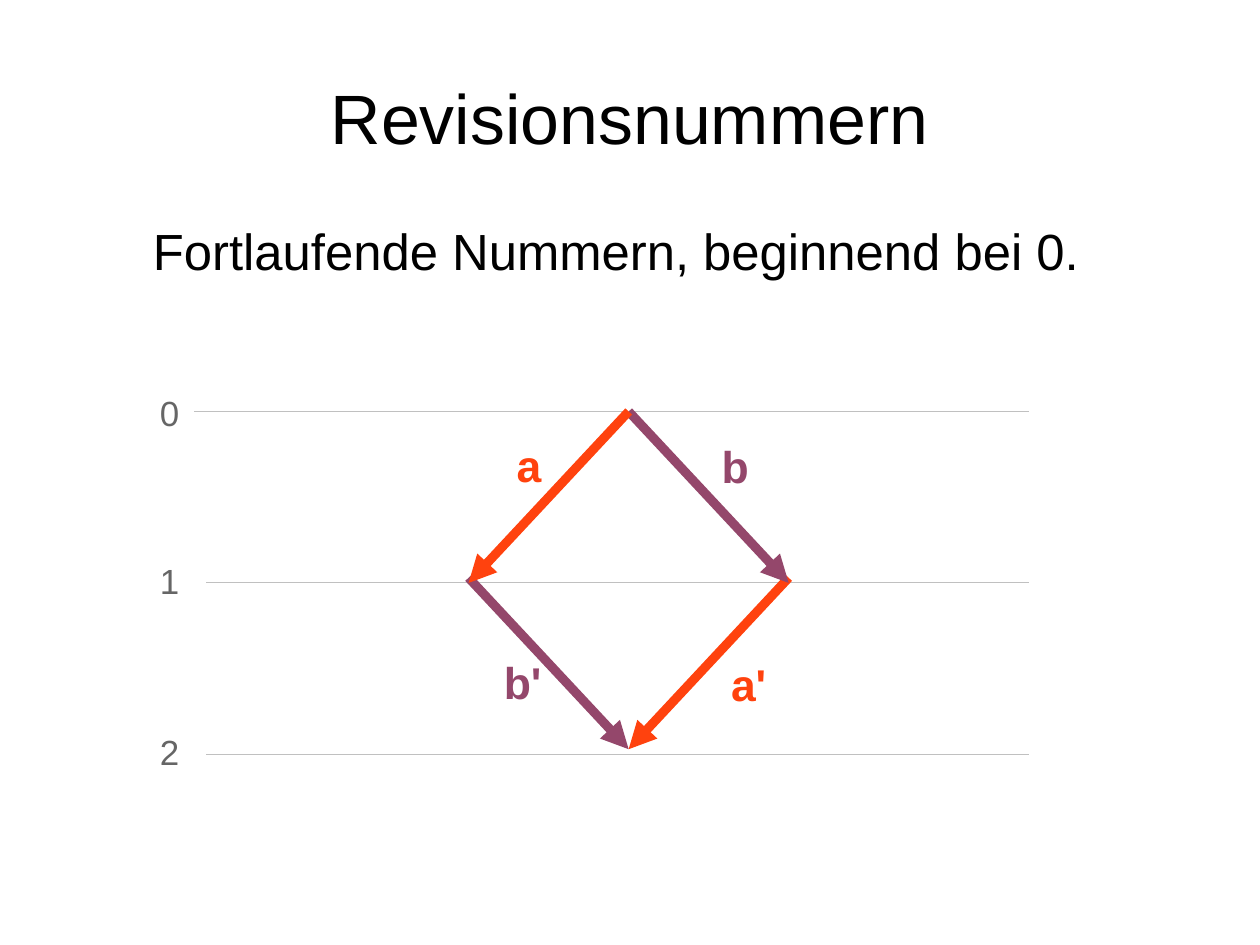
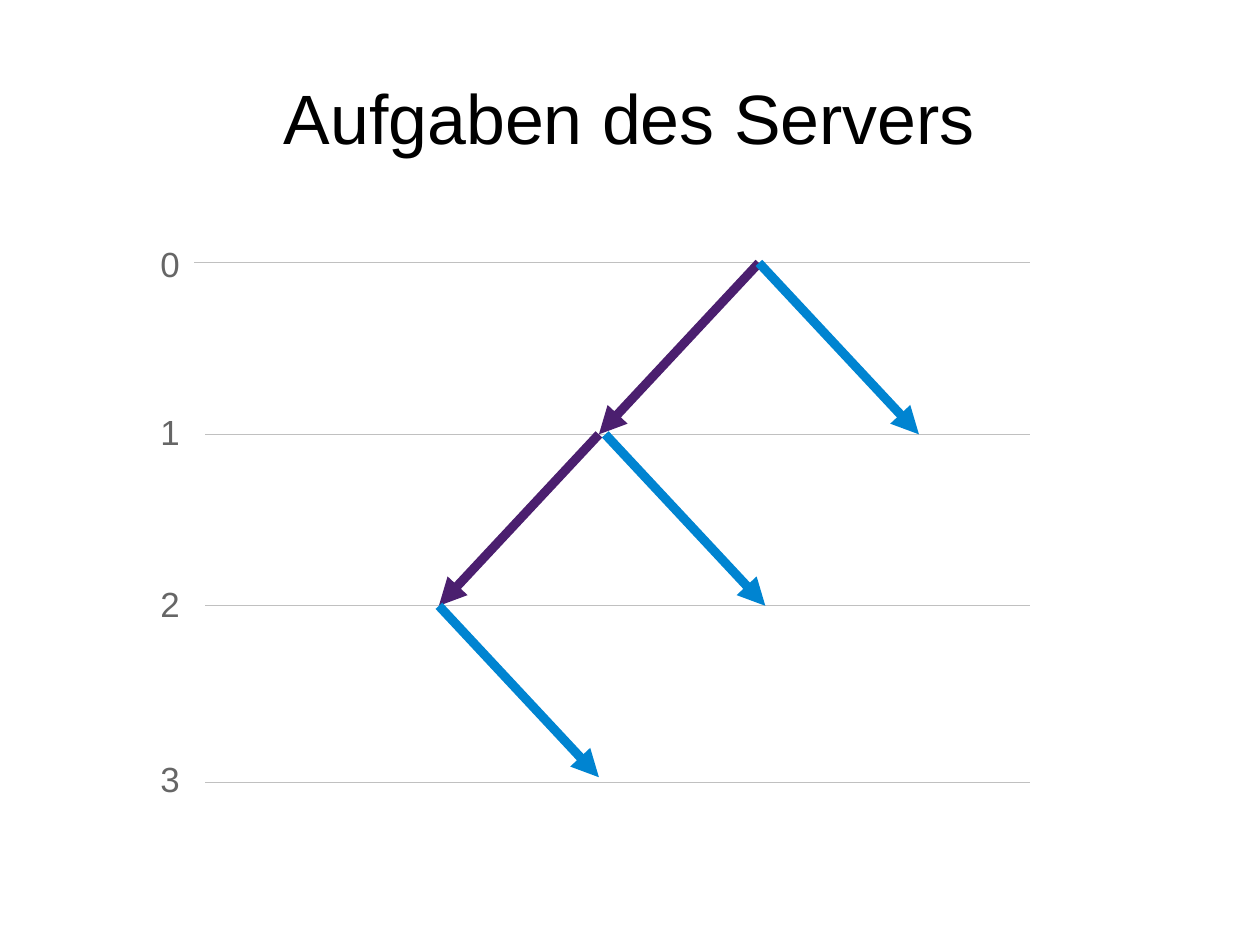
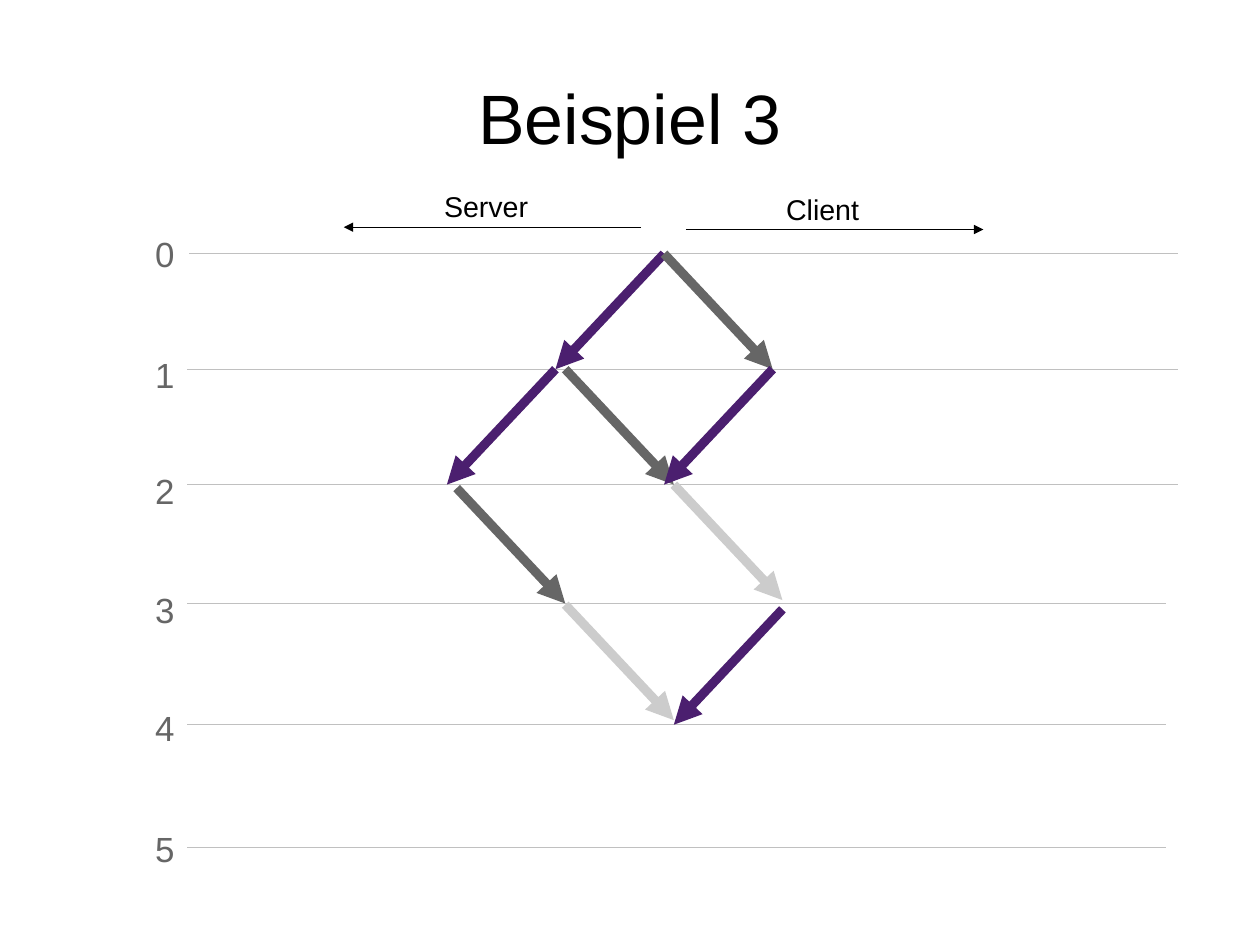
from collections import namedtuple
from dataclasses import dataclass

from lxml.etree import SubElement
from pptx import Presentation
from pptx.dml.color import RGBColor
from pptx.enum.shapes import MSO_CONNECTOR
from pptx.enum.text import MSO_ANCHOR, MSO_AUTO_SIZE, PP_ALIGN
from pptx.oxml.ns import qn
from pptx.util import Cm, Inches, Pt


@dataclass(frozen=True)
class Theme:
    font: str = "Arial"
    black: str = "000000"
    rule: str = "C0C0C0"
    gray: str = "666666"
    pale: str = "CCCCCC"
    red: str = "FF420E"
    plum: str = "94476B"
    navy: str = "4B1F6F"
    blue: str = "0084D1"
    title: int = 44
    body: int = 32
    edge: int = 28
    mark: int = 22
    side: int = 18
    hair: float = 0
    thick: float = 5.75


look = Theme()
Grid = namedtuple("Grid", "left top wide high")
Page = namedtuple("Page", "title grid mark_col mark_wide rules arrows axes tags")


def draw(slide, grid, start, end, ink, width, head):
    ends = [
        Inches(base + step * size)
        for point in (start, end)
        for base, step, size in zip(grid[:2], point, grid[2:])
    ]
    line = slide.shapes.add_connector(MSO_CONNECTOR.STRAIGHT, *ends)
    line.line.color.rgb = RGBColor.from_string(ink)
    props = line._element.spPr
    stroke = props.find(qn("a:ln"))
    stroke.set("w", str(int(Pt(width))))
    if head:
        SubElement(stroke, qn("a:tailEnd"), type="triangle")
    SubElement(props, qn("a:effectLst"))


def write(slide, grid, text, col, row, wide, size, ink, bold=False):
    box = slide.shapes.add_textbox(
        Inches(grid.left + col * grid.wide),
        Inches(grid.top + row * grid.high),
        Inches(wide * grid.wide),
        Pt(size * 1.12) + Inches(0.1),
    )
    frame = box.text_frame
    frame.word_wrap = True
    frame.text = text
    para = frame.paragraphs[0]
    para.alignment = PP_ALIGN.CENTER if size == look.body else PP_ALIGN.LEFT
    para.font.name = look.font
    para.font.size = Pt(size)
    para.font.bold = bold
    para.font.color.rgb = RGBColor.from_string(ink)


pages = [
    Page(
        "Revisionsnummern", Grid(5.5, 3.6, 1.4, 1.5), -3, 0.27,
        [(0, -2.71, 2.5, -0.15), (1, -2.64, 2.5, -0.17), (2, -2.64, 2.5, -0.17)],
        [
            (-1, 0.97, 1, look.plum),
            (1, 0.97, -1, look.red),
            (0, 0, 1, look.plum),
            (0, 0, -1, look.red),
        ],
        [],
        [
            ("Fortlaufende Nummern, beginnend bei 0.", -3.54, -1.15, 6.93, look.body, look.black),
            ("a", -0.77, 0.12, 0.32, look.edge, look.red, True),
            ("b", 0.51, 0.13, 0.34, look.edge, look.plum, True),
            ("a'", 0.57, 1.4, 0.45, look.edge, look.red, True),
            ("b'", -0.85, 1.39, 0.45, look.edge, look.plum, True),
        ],
    ),
    Page(
        "Aufgaben des Servers", Grid(6.64, 2.3, 1.4, 1.5), -3.81, 0.27,
        [
            (0, -3.53, 1.69, -0.15),
            (1, -3.46, 1.69, -0.17),
            (2, -3.46, 1.69, -0.17),
            (3.03, -3.46, 1.69, -0.18),
        ],
        [
            (0, 0, -1, look.navy),
            (-1, 1, -1, look.navy),
            (0, 0, 1, look.blue),
            (-0.96, 1, 1, look.blue),
            (-2, 2, 1, look.blue),
        ],
        [],
        [],
    ),
    Page(
        "Beispiel 3", Grid(5.81, 2.22, 0.95, 1.01), -4.79, 0.4,
        [
            (0, -4.37, 4.73, -0.23),
            (1, -4.39, 4.73, -0.18),
            (2, -4.39, 4.73, -0.18),
            (3.03, -4.39, 4.62, -0.18),
            (4.08, -4.39, 4.62, -0.21),
            (5.14, -4.39, 4.62, -0.22),
        ],
        [
            (0, 0, -1, look.navy),
            (0, 0, 1, look.gray),
            (0.09, 2, 1, look.pale),
            (-1, 1, -1, look.navy),
            (-0.91, 1, 1, look.gray),
            (1.09, 3.08, -1, look.navy),
            (1, 1, -1, look.navy),
            (-1.91, 2.03, 1, look.gray),
            (-0.91, 3.04, 1, look.pale),
        ],
        [(-0.21, -2.95, -0.23), (0.2, 2.94, -0.21)],
        [
            ("Server", -2.13, -0.61, 1.05, look.side, look.black),
            ("Client", 1.02, -0.58, 0.95, look.side, look.black),
        ],
    ),
]

deck = Presentation()
deck.slide_width = Cm(28)
deck.slide_height = Cm(21)

for page in pages:
    slide = deck.slides.add_slide(deck.slide_layouts[5])
    grid = page.grid

    title = slide.shapes.title
    title.left, title.width = Inches(0.55), Inches(9.92)
    title.top, title.height = Inches(0.33), Inches(1.38)
    frame = title.text_frame
    frame.text = page.title
    frame.auto_size = MSO_AUTO_SIZE.NONE
    frame.vertical_anchor = MSO_ANCHOR.MIDDLE
    frame.margin_left = frame.margin_right = frame.margin_top = frame.margin_bottom = 0
    para = frame.paragraphs[0]
    para.alignment = PP_ALIGN.CENTER
    para.font.name = look.font
    para.font.size = Pt(look.title)
    para.font.color.rgb = RGBColor.from_string(look.black)

    for mark, (row, left, right, lift) in enumerate(page.rules):
        draw(slide, grid, (left, row), (right, row), look.rule, look.hair, False)
        write(slide, grid, str(mark), page.mark_col, row + lift, page.mark_wide, look.mark, look.gray)
    for col, row, turn, ink in page.arrows:
        draw(slide, grid, (col, row), (col + turn, row + 1), ink, look.thick, True)
    for start, end, row in page.axes:
        draw(slide, grid, (start, row), (end, row), look.black, look.hair, True)
    for tag in page.tags:
        write(slide, grid, *tag)

deck.save("out.pptx")
